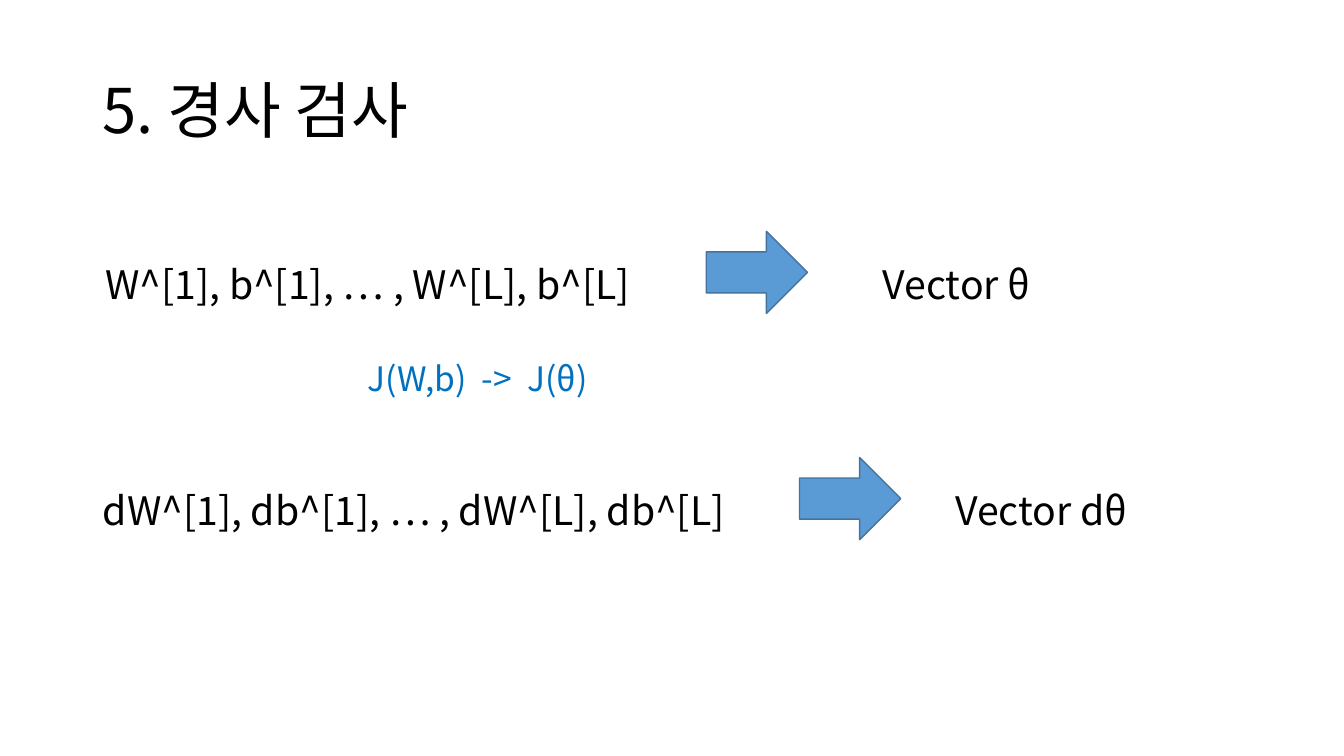
from lxml.etree import SubElement
from pptx import Presentation
from pptx.dml.color import RGBColor
from pptx.enum.shapes import MSO_SHAPE
from pptx.enum.text import MSO_ANCHOR, MSO_AUTO_SIZE, PP_ALIGN
from pptx.oxml.ns import qn
from pptx.util import Cm, Pt

FONT = "Noto Sans CJK KR"


def color(hex_string):
    return RGBColor.from_string(hex_string)


def write_text(shape, text, size=28, fill="000000", align=PP_ALIGN.JUSTIFY,
               spacing=1.6, wrap=False, anchor=MSO_ANCHOR.TOP,
               auto_size=MSO_AUTO_SIZE.SHAPE_TO_FIT_TEXT):
    frame = shape.text_frame
    frame.word_wrap = wrap
    frame.auto_size = auto_size
    frame.vertical_anchor = anchor
    paragraph = frame.paragraphs[0]
    paragraph.alignment = align
    paragraph.line_spacing = spacing
    run = paragraph.add_run()
    run.text = text
    run.font.size = Pt(size)
    run.font.name = FONT
    run.font.color.rgb = color(fill)
    SubElement(run.font._element, qn("a:ea")).set("typeface", FONT)


def place(shape, left, top, width, height):
    shape.left, shape.top = Cm(left), Cm(top)
    shape.width, shape.height = Cm(width), Cm(height)


def add_title(slide, text):
    title = slide.shapes.title
    place(title, 2.33, 1.01, 29.21, 3.68)
    write_text(title, text, size=44, align=PP_ALIGN.LEFT, spacing=0.9, wrap=True,
               anchor=MSO_ANCHOR.MIDDLE, auto_size=MSO_AUTO_SIZE.NONE)


def add_text(slide, text, left, top, width, height, **text_format):
    box = slide.shapes.add_textbox(Cm(left), Cm(top), Cm(width), Cm(height))
    write_text(box, text, **text_format)


def add_arrow(slide, left, top):
    arrow = slide.shapes.add_shape(
        MSO_SHAPE.RIGHT_ARROW, Cm(left), Cm(top), Cm(2.55), Cm(2.07))
    arrow.shadow.inherit = False
    arrow.fill.solid()
    arrow.fill.fore_color.rgb = color("5B9BD5")
    arrow.line.color.rgb = color("43739E")
    arrow.line.width = Pt(1)


def add_mapping(slide, top, source, arrow_left, target):
    """Add one row: source terms, an arrow and the target vector.

    Source and target are (text, left, width).
    """
    for text, left, width in (source, target):
        add_text(slide, text, left, top, width, 2.15)
    add_arrow(slide, arrow_left, top + 0.11)


def main():
    presentation = Presentation()
    presentation.slide_width = Cm(33.87)
    presentation.slide_height = Cm(19.05)
    slide = presentation.slides.add_slide(presentation.slide_layouts[5])

    add_title(slide, "5. 경사 검사")
    add_mapping(slide, 5.72, ("W^[1], b^[1], … , W^[L], b^[L]", 2.4, 14.27),
                17.8, ("Vector θ", 22, 4.4))
    add_mapping(slide, 11.42, ("dW^[1], db^[1], … , dW^[L], db^[L]", 2.34, 16.66),
                20.15, ("Vector dθ", 23.83, 5))
    add_text(slide, "J(W,b)  ->  J(θ)", 9.02, 8.89, 19.87, 1.28, size=24,
             fill="0070C0", align=PP_ALIGN.LEFT, spacing=1.0, wrap=True)

    presentation.save("out.pptx")


if __name__ == "__main__":
    main()
